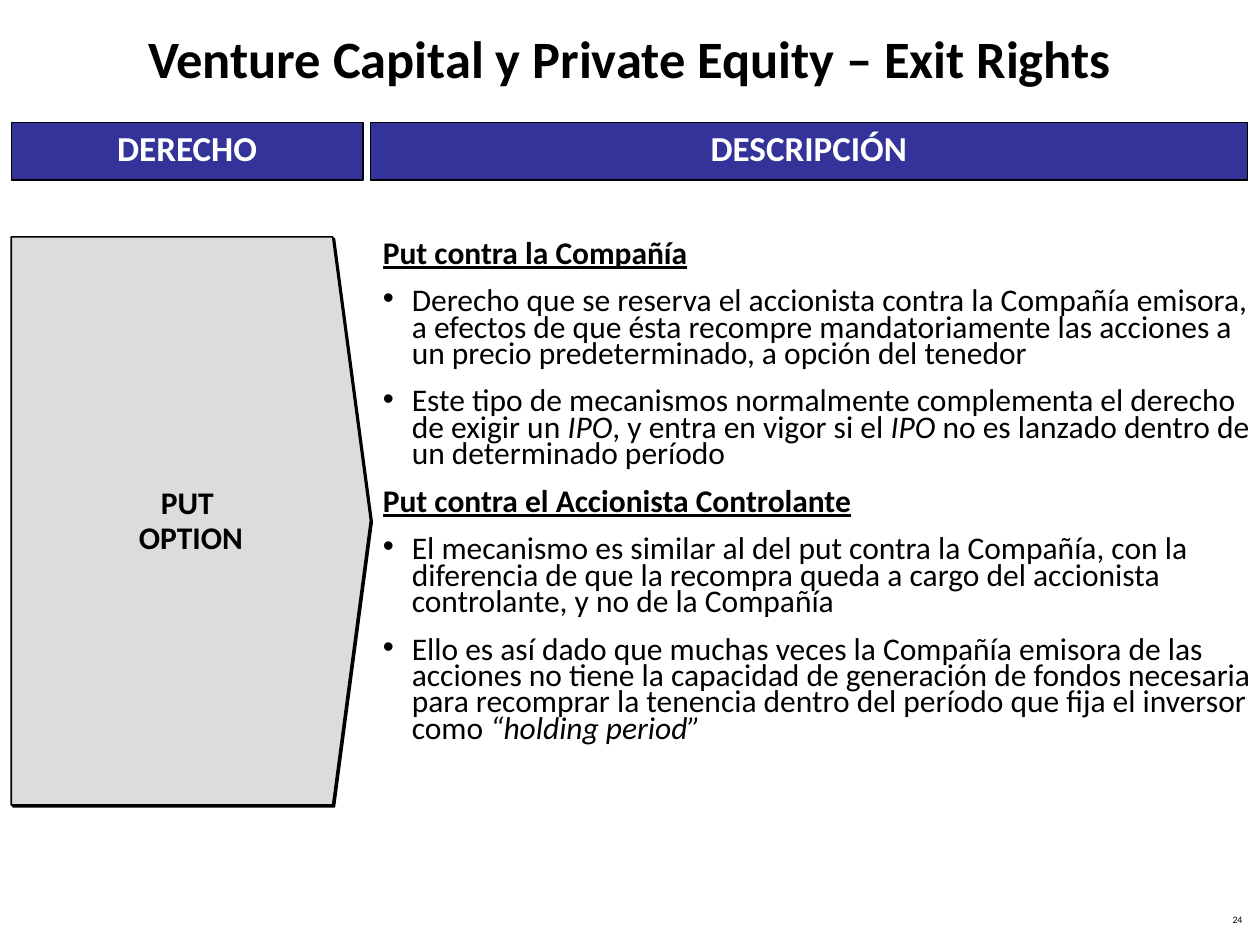
from lxml.etree import SubElement
from pptx import Presentation
from pptx.dml.color import RGBColor
from pptx.enum.shapes import MSO_SHAPE
from pptx.enum.text import MSO_ANCHOR, PP_ALIGN
from pptx.oxml.ns import qn
from pptx.util import Inches, Pt


def color(hex_string):
    return RGBColor.from_string(hex_string)


def write(shape, paragraphs, size=18, ink="000000", bold=False, align=PP_ALIGN.LEFT,
          anchor=MSO_ANCHOR.TOP, spacing=None, before=0, side=0.1):
    """Each paragraph is (kind, runs); every second run is italic."""
    frame = shape.text_frame
    frame.word_wrap = True
    frame.vertical_anchor = anchor
    frame.margin_left = frame.margin_right = Inches(side)
    frame.margin_top = frame.margin_bottom = Inches(0.05)
    for number, (kind, runs) in enumerate(paragraphs):
        paragraph = frame.add_paragraph() if number else frame.paragraphs[0]
        if kind == "bullet":
            properties = paragraph._p.get_or_add_pPr()
            properties.set("marL", str(Inches(0.23)))
            properties.set("indent", str(-Inches(0.23)))
            SubElement(properties, qn("a:buFont"), typeface="Arial")
            SubElement(properties, qn("a:buChar"), char="•")
        paragraph.alignment = align
        if spacing:
            paragraph.line_spacing = spacing
        if number:
            paragraph.space_before = Pt(before)
        for position, text in enumerate(runs):
            run = paragraph.add_run()
            run.text = text
            run.font.name = "Calibri"
            run.font.size = Pt(size)
            run.font.color.rgb = color(ink)
            run.font.bold = bold or kind == "heading"
            run.font.underline = kind == "heading"
            run.font.italic = position % 2 == 1


prs = Presentation()
prs.slide_width, prs.slide_height = Inches(10), Inches(7.5)
slide = prs.slides.add_slide(prs.slide_layouts[6])
shapes = slide.shapes

# Page number
page_number = shapes.add_textbox(Inches(7.63), Inches(7.22), Inches(2.33), Inches(0.21))
write(page_number, [("plain", ["24"])], size=5.6, align=PP_ALIGN.RIGHT, spacing=0.8)

# Title
title = shapes.add_textbox(0, 0, Inches(10), Inches(0.91))
write(title, [("plain", ["Venture Capital y Private Equity – Exit Rights"])],
      size=30, bold=True, align=PP_ALIGN.CENTER, anchor=MSO_ANCHOR.MIDDLE)

# Column headers
for label, left, width in [("DESCRIPCIÓN", 2.94, 6.96), ("DERECHO", 0.09, 2.79)]:
    header = shapes.add_shape(MSO_SHAPE.RECTANGLE, Inches(left), Inches(0.97),
                              Inches(width), Inches(0.46))
    header.shadow.inherit = False
    header.fill.solid()
    header.fill.fore_color.rgb = color("333399")
    header.line.color.rgb = color("000000")
    header.line.width = Pt(0.75)
    write(header, [("plain", [label])], size=20, ink="FFFFFF", bold=True,
          align=PP_ALIGN.CENTER, anchor=MSO_ANCHOR.MIDDLE, spacing=Pt(20))

# Description of the right
description = shapes.add_textbox(Inches(2.94), Inches(1.88), Inches(7.11), Inches(4.48))
write(description, [
    ("heading", ["Put contra la Compañía"]),
    ("bullet", ["Derecho que se reserva el accionista contra la Compañía emisora, a efectos de "
                "que ésta recompre mandatoriamente las acciones a un precio predeterminado, "
                "a opción del tenedor"]),
    ("bullet", ["Este tipo de mecanismos normalmente complementa el derecho de exigir un ", "IPO",
                ", y entra en vigor si el ", "IPO",
                " no es lanzado dentro de un determinado período"]),
    ("heading", ["Put contra el Accionista Controlante"]),
    ("bullet", ["El mecanismo es similar al del put contra la Compañía, con la diferencia de que "
                "la recompra queda a cargo del accionista controlante, y no de la Compañía"]),
    ("bullet", ["Ello es así dado que muchas veces la Compañía emisora de las acciones no tiene "
                "la capacidad de generación de fondos necesaria para recomprar la tenencia "
                "dentro del período que fija el inversor como ", "“holding period”"]),
], spacing=0.7, before=12)

# Name of the right, in a block pointing at its description
outline = [(0.09, 1.88), (2.64, 1.88), (2.94, 4.13), (2.64, 6.39), (0.09, 6.39)]
corners = [(Inches(x), Inches(y)) for x, y in outline]
builder = shapes.build_freeform(*corners[0])
builder.add_line_segments(corners[1:], close=True)
put_option = builder.convert_to_shape()
put_option.fill.solid()
put_option.fill.fore_color.rgb = color("DCDCDC")
put_option.line.color.rgb = color("000000")
put_option.line.width = Pt(1)
write(put_option, [("plain", ["PUT "]), ("plain", ["OPTION"])], bold=True,
      align=PP_ALIGN.CENTER, anchor=MSO_ANCHOR.MIDDLE, spacing=Pt(20), side=0)

# Hard shadow down to the right
put_option.shadow.inherit = False
effects = put_option._element.spPr.find(qn("a:effectLst"))
shadow = SubElement(effects, qn("a:outerShdw"), blurRad="0", dist=str(Pt(1.4)),
                    dir=str(45 * 60000), algn="ctr", rotWithShape="0")
SubElement(shadow, qn("a:srgbClr"), val="000000")

prs.save("out.pptx")
